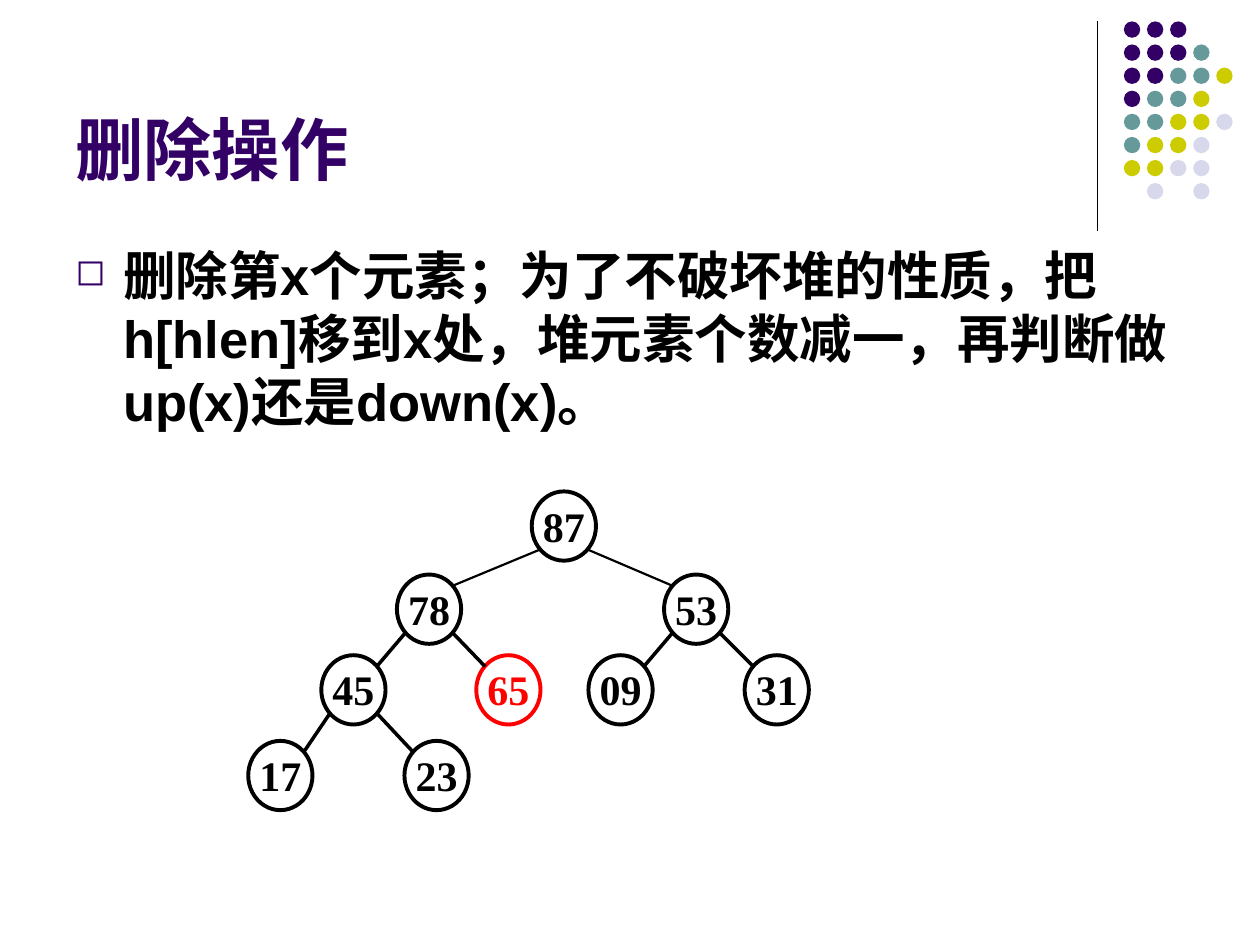
from lxml.etree import SubElement
from pptx import Presentation
from pptx.dml.color import RGBColor
from pptx.enum.shapes import MSO_CONNECTOR, MSO_SHAPE
from pptx.enum.text import MSO_ANCHOR, PP_ALIGN
from pptx.oxml.ns import qn
from pptx.util import Pt

PX = 9144
PURPLE = RGBColor(0x33, 0x00, 0x66)
TEAL = RGBColor(0x66, 0x99, 0x99)
OLIVE = RGBColor(0xCC, 0xCC, 0x00)
LAVENDER = RGBColor(0xD8, 0xD8, 0xEC)
BLACK = RGBColor(0x00, 0x00, 0x00)
RED = RGBColor(0xFF, 0x00, 0x00)

DOT_COLORS = {"P": PURPLE, "T": TEAL, "O": OLIVE, "L": LAVENDER}
DOT_ROWS = ["PPP", "PPPT", "PPTTO", "PTTO", "TTOOL", "TOOL", "OOLL", " L L"]
DOT_PITCH = 18.33
DOT_SIZE = 13

NODE_WIDTH, NODE_HEIGHT = 51, 55
CORNER_X, CORNER_Y = 7, 9
NODES = {
    "87": (225, 0),
    "78": (118, 66),
    "53": (330, 66),
    "45": (58, 130),
    "65": (181, 130),
    "09": (270, 130),
    "31": (394, 130),
    "17": (0, 198),
    "23": (124, 198),
}
CHILDREN = {
    "87": ("78", "53"),
    "78": ("45", "65"),
    "53": ("09", "31"),
    "45": ("17", "23"),
}
DELETED = "65"


def emu(*lengths):
    return [round(length * PX) for length in lengths]


def write_text(frame, text, size=24, font="Arial", color=BLACK, align=PP_ALIGN.LEFT,
               anchor=MSO_ANCHOR.TOP, wrap=True, spacing=None, margin=None, bullet=None):
    frame.word_wrap = wrap
    frame.vertical_anchor = anchor
    if margin is not None:
        frame.margin_left = frame.margin_right = margin
        frame.margin_top = frame.margin_bottom = margin
    para = frame.paragraphs[0]
    para.alignment = align
    if spacing:
        para.line_spacing = spacing
    if bullet:
        add_bullet(para, bullet, indent=38)
    span = para.add_run()
    span.text = text
    span.font.size = Pt(size)
    span.font.name = font
    span.font.bold = True
    span.font.color.rgb = color


def add_bullet(para, mark, indent):
    props = para._p.get_or_add_pPr()
    props.set("marL", str(indent * PX))
    props.set("indent", str(-indent * PX))
    color = SubElement(props, qn("a:buClr"))
    SubElement(color, qn("a:srgbClr"), val=str(PURPLE))
    SubElement(props, qn("a:buSzPct"), val="70000")
    SubElement(props, qn("a:buChar"), char=mark)


def add_line(page, start, end, width):
    line = page.shapes.add_connector(MSO_CONNECTOR.STRAIGHT, *emu(*start, *end))
    line.line.color.rgb = BLACK
    line.line.width = Pt(width)
    SubElement(line._element.spPr, qn("a:effectLst"))


def add_ellipse(page, left, top, width, height):
    ellipse = page.shapes.add_shape(MSO_SHAPE.OVAL, *emu(left, top, width, height))
    ellipse.shadow.inherit = False
    return ellipse


def add_corner_dots(page, left, top, height):
    add_line(page, (left, top), (left, top + height), 0.75)
    for row, colors in enumerate(DOT_ROWS):
        for column, key in enumerate(colors):
            if key in DOT_COLORS:
                dot = add_ellipse(page, left + 21 + column * DOT_PITCH,
                                  top + row * DOT_PITCH, DOT_SIZE, DOT_SIZE)
                dot.fill.solid()
                dot.fill.fore_color.rgb = DOT_COLORS[key]
                dot.line.fill.background()


def add_text_box(page, left, top, width, height, text, **style):
    box = page.shapes.add_textbox(*emu(left, top, width, height))
    write_text(box.text_frame, text, **style)


def add_heap_tree(page, left, top):
    for key, (x, y) in NODES.items():
        color = RED if key == DELETED else BLACK
        node = add_ellipse(page, left + x, top + y, NODE_WIDTH, NODE_HEIGHT)
        node.fill.background()
        node.line.color.rgb = color
        node.line.width = Pt(2.25)
        write_text(node.text_frame, key, font="Times New Roman", color=color,
                   align=PP_ALIGN.CENTER, anchor=MSO_ANCHOR.MIDDLE, wrap=False,
                   spacing=Pt(28), margin=0)

    near, far = CORNER_X, NODE_WIDTH - CORNER_X
    for parent, pair in CHILDREN.items():
        parent_x, parent_y = NODES[parent]
        width = 1.25 if parent == "87" else 2
        for child, start_x, end_x in zip(pair, (near, far), (far, near)):
            child_x, child_y = NODES[child]
            start = (left + parent_x + start_x, top + parent_y + NODE_HEIGHT - CORNER_Y)
            end = (left + child_x + end_x, top + child_y + CORNER_Y)
            add_line(page, start, end, width)


def main():
    deck = Presentation()
    deck.slide_width, deck.slide_height = emu(1000, 750)
    page = deck.slides.add_slide(deck.slide_layouts[6])
    add_corner_dots(page, 871, 17, 166)
    add_text_box(page, 50, 13, 825, 142, "删除操作", size=39, color=PURPLE,
                 anchor=MSO_ANCHOR.BOTTOM)
    add_text_box(page, 50, 188, 900, 482,
                 "删除第x个元素；为了不破坏堆的性质，把h[hlen]移到x处，"
                 "堆元素个数减一，再判断做up(x)还是down(x)。",
                 size=30, bullet="◻")
    add_heap_tree(page, 197, 390)
    deck.save("out.pptx")


if __name__ == "__main__":
    main()
